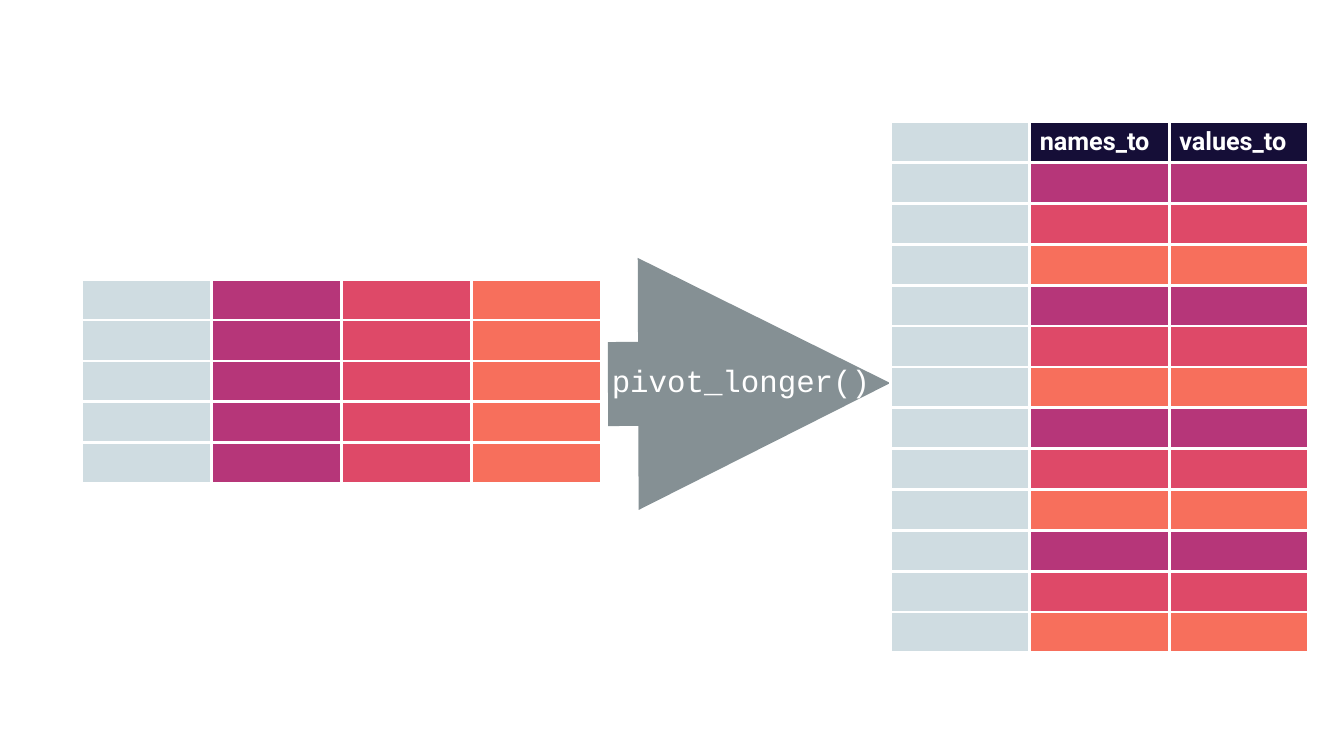
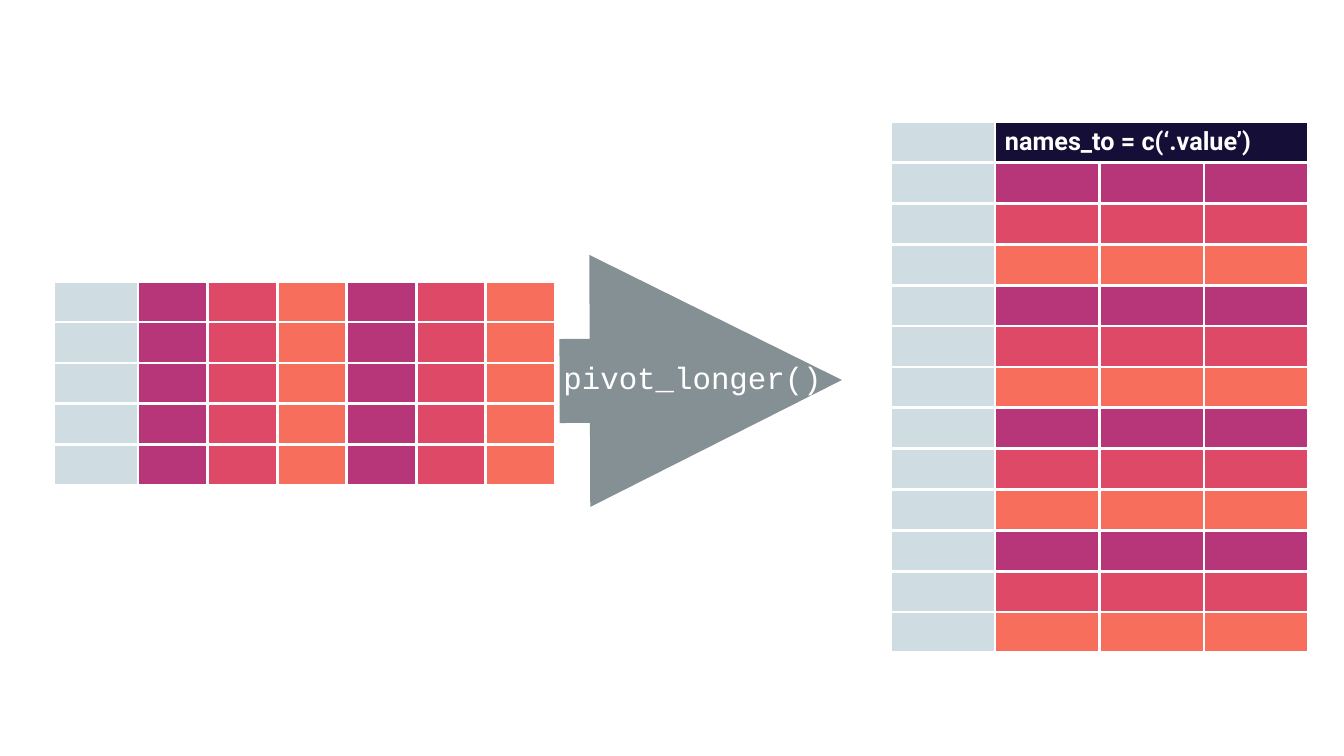
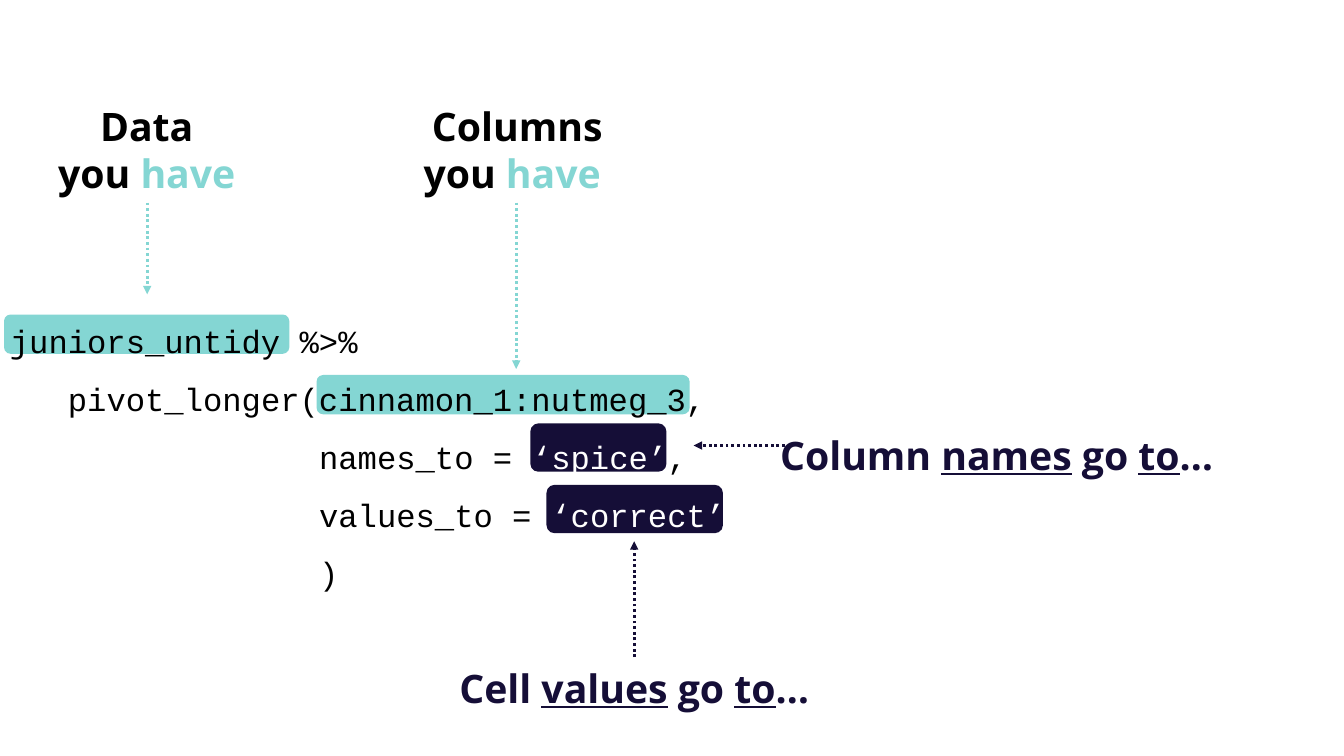
import pptx
import pptx.util
import pptx.dml.color
import pptx.enum.shapes
import pptx.enum.text
import pptx.oxml.ns
import lxml.etree

Inches, Pt = pptx.util.Inches, pptx.util.Pt
qn = pptx.oxml.ns.qn
Shape = pptx.enum.shapes.MSO_SHAPE
Anchor = pptx.enum.text.MSO_ANCHOR
Align = pptx.enum.text.PP_ALIGN

# Shared look
COLOURS = {name: pptx.dml.color.RGBColor.from_string(value) for name, value in {
    "white": "FFFFFF", "black": "000000", "navy": "150E37", "teal": "84D6D3",
    "grey": "859094", "pale": "CFDCE1",
    "purple": "B63679", "pink": "DE4968", "orange": "F76F5C",
}.items()}
BANDS = ["purple", "pink", "orange"]
CODE_FONT, LABEL_FONT, HEADER_FONT = "Courier New", "Open Sans", "Roboto"

deck = pptx.Presentation()
deck.slide_width, deck.slide_height = Inches(13.33), Inches(7.5)
blank = deck.slide_layouts[6]


def add_arrow(page, start, end, colour, width, dash=None):
    arrow = page.shapes.add_connector(
        pptx.enum.shapes.MSO_CONNECTOR.STRAIGHT,
        *[Inches(length) for length in (*start, *end)])
    arrow.line.color.rgb = COLOURS[colour]
    arrow.line.width = Pt(width)
    outline = arrow.line._get_or_add_ln()
    if dash:
        lxml.etree.SubElement(outline, qn("a:prstDash")).set("val", dash)
    lxml.etree.SubElement(outline, qn("a:tailEnd")).set("type", "triangle")
    lxml.etree.SubElement(arrow._element.spPr, qn("a:effectLst"))


def add_span(para, text, font, size, colour, bold=False, underline=False):
    span = para.add_run()
    span.text = text
    span.font.name, span.font.size = font, Pt(size)
    span.font.color.rgb = COLOURS[colour]
    if bold:
        span.font.bold = True
    if underline:
        span.font.underline = True


# Slides 1 and 2: a wide table turns into a long one
ROW = 5.27 / 13
LONG_LEFT, LONG_TOP, LONG_WIDTH = 8.83, 1.21, 4.15
pivots = [
    {"arrow": (6.03, 3.81), "wide_at": (0.81, 2.77), "wide_columns": [1.29] * 4,
     "value_columns": 2, "headers": ["names_to", "values_to"]},
    {"arrow": (5.55, 3.78), "wide_at": (0.53, 2.79), "wide_columns": [0.84] + [0.69] * 6,
     "value_columns": 3, "headers": ["names_to = c(‘.value’)"]},
]
for pivot in pivots:
    page = deck.slides.add_slide(blank)

    # Arrow with the function name
    left, top = pivot["arrow"]
    add_arrow(page, (left, top), (left + 2.8, top - 0.01), "grey", 60)
    box = page.shapes.add_textbox(Inches(left - 0.06), Inches(top - 0.27),
                                  Inches(2.8), Inches(0.47))
    box.text_frame.word_wrap = False
    add_span(box.text_frame.paragraphs[0], "pivot_longer()", CODE_FONT, 22, "white")

    # Cell colours: bands run down the long table and across the wide one
    values = pivot["value_columns"]
    long_fills = [["pale"] + ["navy"] * values]
    long_fills += [["pale"] + [BANDS[row % 3]] * values for row in range(12)]
    wide_columns = pivot["wide_columns"]
    wide_fills = [["pale"] + BANDS * (len(wide_columns) // 3)] * 5
    long_columns = [LONG_WIDTH / (values + 1)] * (values + 1)

    for (left, top), columns, fills, headers in [
            ((LONG_LEFT, LONG_TOP), long_columns, long_fills, pivot["headers"]),
            (pivot["wide_at"], wide_columns, wide_fills, [])]:
        table = page.shapes.add_table(
            len(fills), len(columns), Inches(left), Inches(top),
            Inches(sum(columns)), Inches(ROW * len(fills))).table
        table.first_row = table.horz_banding = False
        for column, width in zip(table.columns, columns):
            column.width = Inches(width)
        for row, row_fills in zip(table.rows, fills):
            row.height = Inches(ROW)
            for cell, fill in zip(row.cells, row_fills):
                cell.margin_top = cell.margin_bottom = Inches(0.02)
                cell.vertical_anchor = Anchor.MIDDLE
                cell.fill.solid()
                cell.fill.fore_color.rgb = COLOURS[fill]
                # White borders go before the fill
                properties = cell._tc.get_or_add_tcPr()
                for place, side in enumerate(["a:lnL", "a:lnR", "a:lnT", "a:lnB"]):
                    border = lxml.etree.Element(qn(side), w=str(Pt(2.25)))
                    paint = lxml.etree.SubElement(border, qn("a:solidFill"))
                    lxml.etree.SubElement(paint, qn("a:srgbClr")).set(
                        "val", str(COLOURS["white"]))
                    properties.insert(place, border)
        if len(headers) == 1:
            table.cell(0, 1).merge(table.cell(0, values))
        for column, header in enumerate(headers, start=1):
            add_span(table.cell(0, column).text_frame.paragraphs[0],
                     header, HEADER_FONT, 18, "white", bold=True)

# Slide 3: the call, explained
page = deck.slides.add_slide(blank)

# Labels: place, pointer, paragraphs of (text, colour, underlined)
labels = [
    ((7.2, 4.06, 5.37, 0.9), (-0.061, -1.242),
     [[("Column ", "navy", False), ("names", "navy", True), (" go ", "navy", False),
       ("to", "navy", True), ("…", "navy", False)]]),
    ((3.99, 6.37, 4.6, 0.9), (-0.257, -1.242),
     [[("Cell ", "navy", False), ("values", "navy", True), (" go ", "navy", False),
       ("to", "navy", True), ("…", "navy", False)]]),
    ((0.43, 0.96, 2.05, 1.04), (-0.317, 1.12),
     [[("Data", "black", False)], [("you ", "black", False), ("have", "teal", False)]]),
    ((3.38, 0.96, 3.5, 1.04), (-0.325, 1.424),
     [[("Columns", "black", False)], [("you ", "black", False), ("have ", "teal", False)]]),
]
for place, pointer, paragraphs in labels:
    label = page.shapes.add_shape(Shape.RECTANGULAR_CALLOUT,
                                  *[Inches(length) for length in place])
    label.adjustments[0], label.adjustments[1] = pointer
    label.shadow.inherit = False
    label.fill.background()
    label.line.fill.background()
    frame = label.text_frame
    frame.word_wrap = True
    frame.vertical_anchor = Anchor.MIDDLE
    for number, spans in enumerate(paragraphs):
        para = frame.add_paragraph() if number else frame.paragraphs[0]
        para.alignment = Align.CENTER
        for text, colour, underlined in spans:
            add_span(para, text, LABEL_FONT, 28, colour, True, underlined)

# Dotted arrows from labels to code
for start, end, colour in [
        ((1.46, 2.01), (1.46, 2.92), "teal"),
        ((5.12, 2.01), (5.12, 3.66), "teal"),
        ((6.29, 6.52), (6.29, 5.37), "navy"),
        ((7.84, 4.42), (6.88, 4.42), "navy")]:
    add_arrow(page, start, end, colour, 2, "sysDot")

# Highlights behind the code
for place, colour in [
        ((5.26, 4.2, 1.35, 0.48), "navy"),
        ((5.42, 4.81, 1.75, 0.48), "navy"),
        ((3.14, 3.72, 3.7, 0.39), "teal"),
        ((0.04, 3.12, 2.83, 0.39), "teal")]:
    highlight = page.shapes.add_shape(Shape.ROUNDED_RECTANGLE,
                                      *[Inches(length) for length in place])
    highlight.shadow.inherit = False
    highlight.fill.solid()
    highlight.fill.fore_color.rgb = COLOURS[colour]
    highlight.line.fill.background()

# Code lines, indented by whole characters
CODE_SIZE = 23
CHARACTER = Pt(CODE_SIZE * 0.6)
code_lines = [
    (0, [("juniors_untidy %>%", "black")]),
    (3, [("pivot_longer(cinnamon_1:nutmeg_3,", "black")]),
    (16, [("names_to = ", "black"), ("‘spice’", "white"), (",", "black")]),
    (16, [("values_to = ", "black"), ("‘correct’", "white")]),
    (16, [(")", "black")]),
]
code = page.shapes.add_textbox(0, Inches(2.95), deck.slide_width, Inches(2.94))
code.text_frame.word_wrap = True
for number, (indent, spans) in enumerate(code_lines):
    para = code.text_frame.add_paragraph() if number else code.text_frame.paragraphs[0]
    para.line_spacing = 1.5
    para._p.get_or_add_pPr().set("marL", str(indent * CHARACTER))
    for text, colour in spans:
        add_span(para, text, CODE_FONT, CODE_SIZE, colour)

deck.save("out.pptx")
